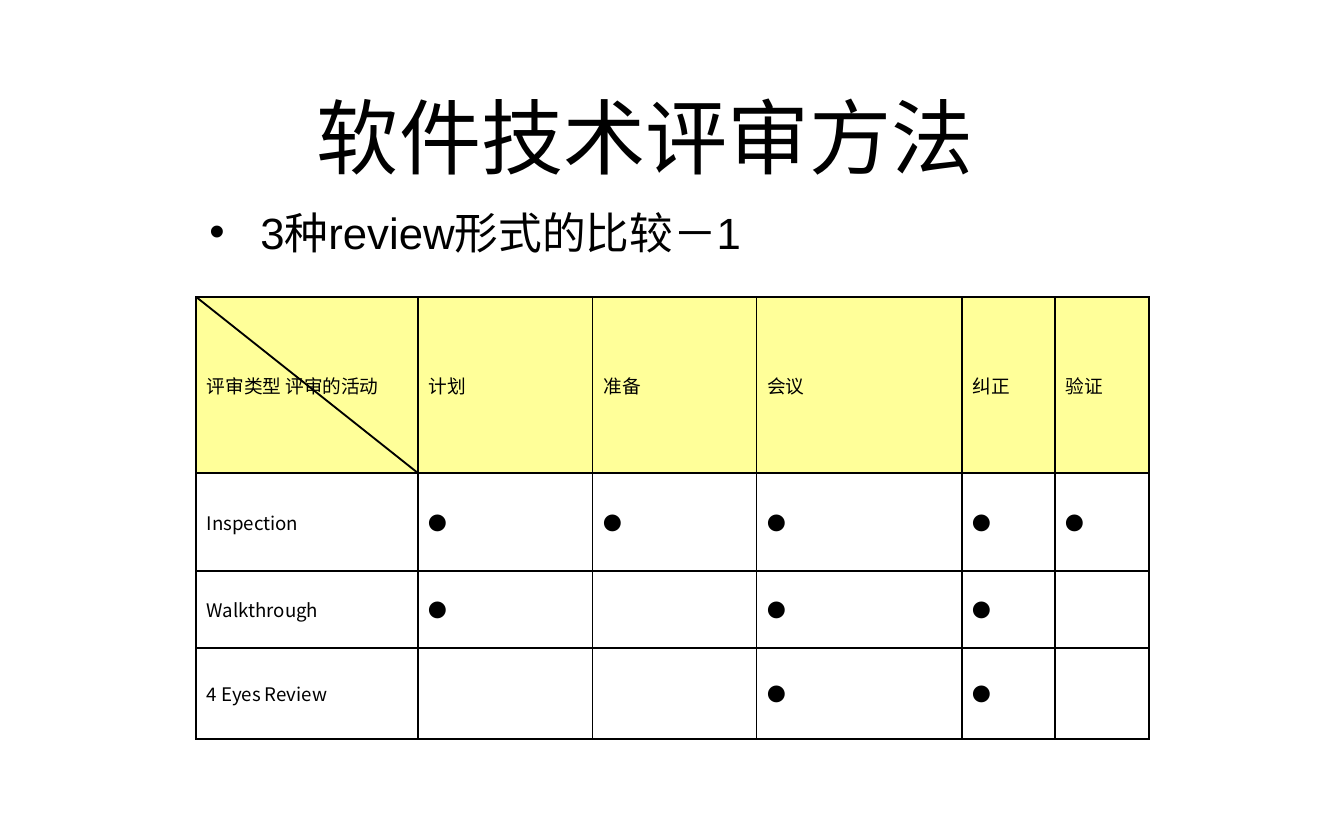
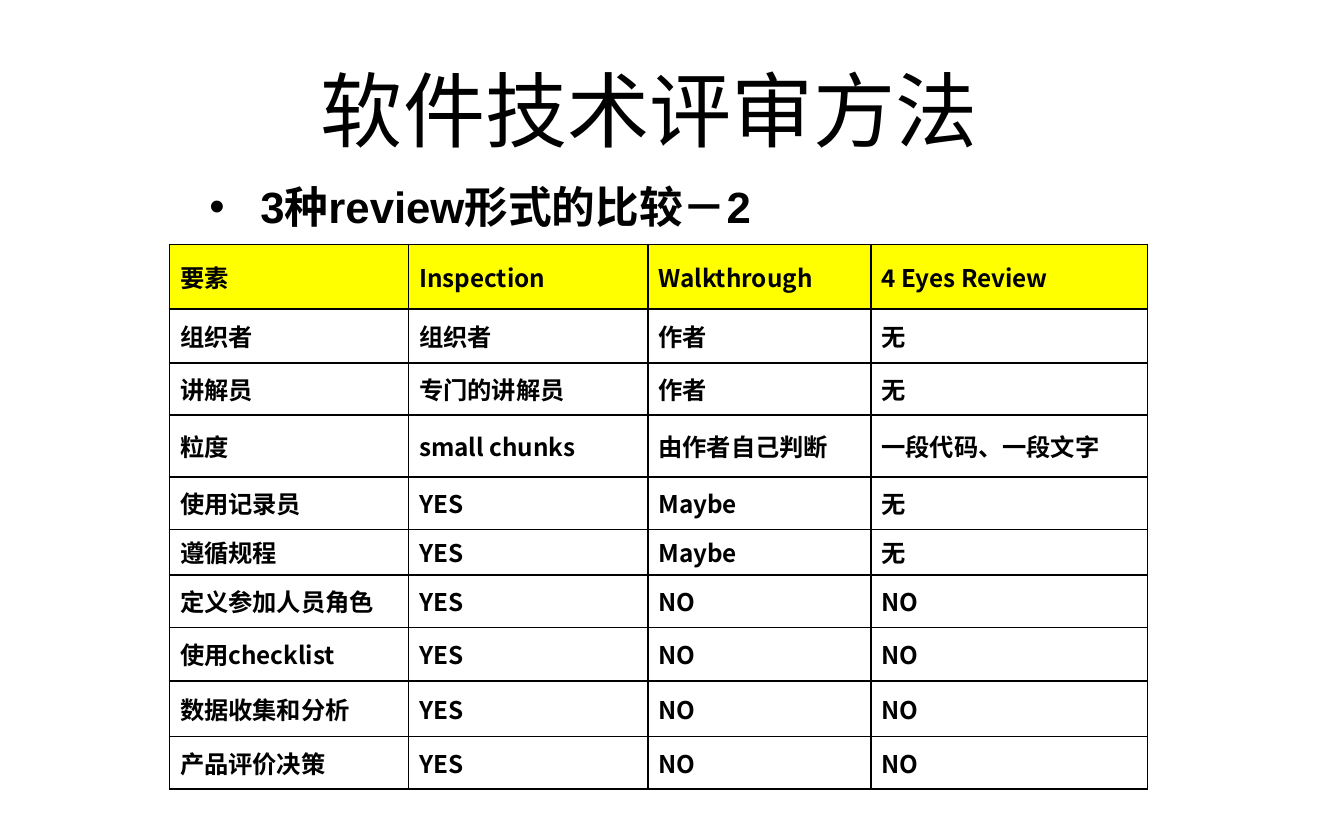
from lxml.etree import SubElement
from pptx import Presentation
from pptx.dml.color import RGBColor
from pptx.enum.shapes import MSO_CONNECTOR
from pptx.enum.text import MSO_ANCHOR, PP_ALIGN
from pptx.oxml.ns import qn
from pptx.util import Emu, Pt

EMU_PER_PX = 9144
BLACK = "000000"
LATIN_FONT = "Arial"
CHINESE_FONT = "Noto Sans CJK SC"
TITLE = "软件技术评审方法"
DOT = "●"


def px(length):
    return Emu(length * EMU_PER_PX)


def color(value):
    return RGBColor.from_string(value)


def write(frame, text, size, font=LATIN_FONT, bold=False, align=PP_ALIGN.LEFT,
          anchor=MSO_ANCHOR.TOP, hanging=38, before=0, bullet=None):
    frame.word_wrap = True
    frame.vertical_anchor = anchor
    paragraph = frame.paragraphs[0]
    paragraph.alignment = align
    paragraph.space_before = Pt(before)
    properties = paragraph._p.get_or_add_pPr()
    properties.set("marL", str(px(hanging)))
    properties.set("indent", str(-px(hanging)))
    if bullet:
        SubElement(properties, qn("a:buFont")).set("typeface", LATIN_FONT)
        SubElement(properties, qn("a:buChar")).set("char", bullet)
    run = paragraph.add_run()
    run.text = text
    run.font.size = Pt(size)
    run.font.bold = bold
    run.font.name = font
    run.font.color.rgb = color(BLACK)
    SubElement(run._r.get_or_add_rPr(), qn("a:ea")).set("typeface", CHINESE_FONT)


class Deck:
    def __init__(self, width, height):
        self.presentation = Presentation()
        self.presentation.slide_width = px(width)
        self.presentation.slide_height = px(height)
        self.slide = None

    def add_slide(self):
        self.slide = self.presentation.slides.add_slide(self.presentation.slide_layouts[6])

    def text_box(self, text, box, **style):
        shape = self.slide.shapes.add_textbox(*map(px, box))
        write(shape.text_frame, text, **style)

    def title(self, box):
        self.text_box(TITLE, box, size=44, align=PP_ALIGN.CENTER,
                      anchor=MSO_ANCHOR.MIDDLE, hanging=100)

    def subtitle(self, text, box, bold=False):
        self.text_box(text, box, size=23.4, bold=bold, before=4.7, bullet="•")

    def line(self, start, end):
        connector = self.slide.shapes.add_connector(
            MSO_CONNECTOR.STRAIGHT, *map(px, start + end))
        connector.line.color.rgb = color(BLACK)
        connector.line.width = Pt(1)
        SubElement(connector._element.spPr, qn("a:effectLst"))

    def borders(self, cell):
        properties = cell._tc.get_or_add_tcPr()
        for index, side in enumerate(("lnL", "lnR", "lnT", "lnB")):
            border = properties.makeelement(qn("a:" + side), {"w": str(Pt(1))})
            fill = SubElement(border, qn("a:solidFill"))
            SubElement(fill, qn("a:srgbClr")).set("val", BLACK)
            properties.insert(index, border)

    def table(self, position, widths, heights, rows, header_fill, size, bold=False):
        extent = (sum(widths), sum(heights))
        frame = self.slide.shapes.add_table(
            len(heights), len(widths), *map(px, position + extent))
        table = frame.table
        for column, width in zip(table.columns, widths):
            column.width = px(width)
        for row_index, (row, height, texts) in enumerate(zip(table.rows, heights, rows)):
            row.height = px(height)
            for cell, text in zip(row.cells, texts):
                cell.margin_left = cell.margin_right = px(8)
                cell.margin_top = cell.margin_bottom = px(4)
                cell.vertical_anchor = MSO_ANCHOR.MIDDLE
                if row_index == 0:
                    cell.fill.solid()
                    cell.fill.fore_color.rgb = color(header_fill)
                else:
                    cell.fill.background()
                self.borders(cell)
                if text:
                    write(cell.text_frame, text, size, font=CHINESE_FONT,
                          bold=bold, anchor=MSO_ANCHOR.MIDDLE)


def add_activity_slide(deck):
    deck.add_slide()
    deck.title((114, 70, 733, 62))
    deck.subtitle("3种review形式的比较－1", (146, 148, 597, 401))
    rows = [
        ["评审类型 评审的活动", "计划", "准备", "会议", "纠正", "验证"],
        ["Inspection", DOT, DOT, DOT, DOT, DOT],
        ["Walkthrough", DOT, "", DOT, DOT, ""],
        ["4 Eyes Review", "", "", DOT, DOT, ""],
    ]
    left, top = 146, 221
    widths = [165, 130, 122, 153, 69, 70]
    heights = [131, 73, 57, 68]
    deck.table((left, top), widths, heights, rows, header_fill="FFFF99", size=10)
    deck.line((left, top), (left + widths[0], top + heights[0]))


def add_element_slide(deck):
    deck.add_slide()
    deck.title((178, 50, 611, 62))
    deck.subtitle("3种review形式的比较－2", (146, 129, 722, 420), bold=True)
    rows = [
        ["要素", "Inspection", "Walkthrough", "4 Eyes Review"],
        ["组织者", "组织者", "作者", "无"],
        ["讲解员", "专门的讲解员", "作者", "无"],
        ["粒度", "small chunks", "由作者自己判断", "一段代码、一段文字"],
        ["使用记录员", "YES", "Maybe", "无"],
        ["遵循规程", "YES", "Maybe", "无"],
    ]
    inspection_only = ["定义参加人员角色", "使用checklist", "数据收集和分析", "产品评价决策"]
    rows += [[element, "YES", "NO", "NO"] for element in inspection_only]
    heights = [48, 40, 39, 46, 39, 34, 39, 40, 41, 39]
    deck.table((126, 182), [178, 178, 166, 206], heights, rows,
               header_fill="FFFF00", size=13, bold=True)


def main():
    deck = Deck(1000, 625)
    add_activity_slide(deck)
    add_element_slide(deck)
    deck.presentation.save("out.pptx")


if __name__ == "__main__":
    main()
